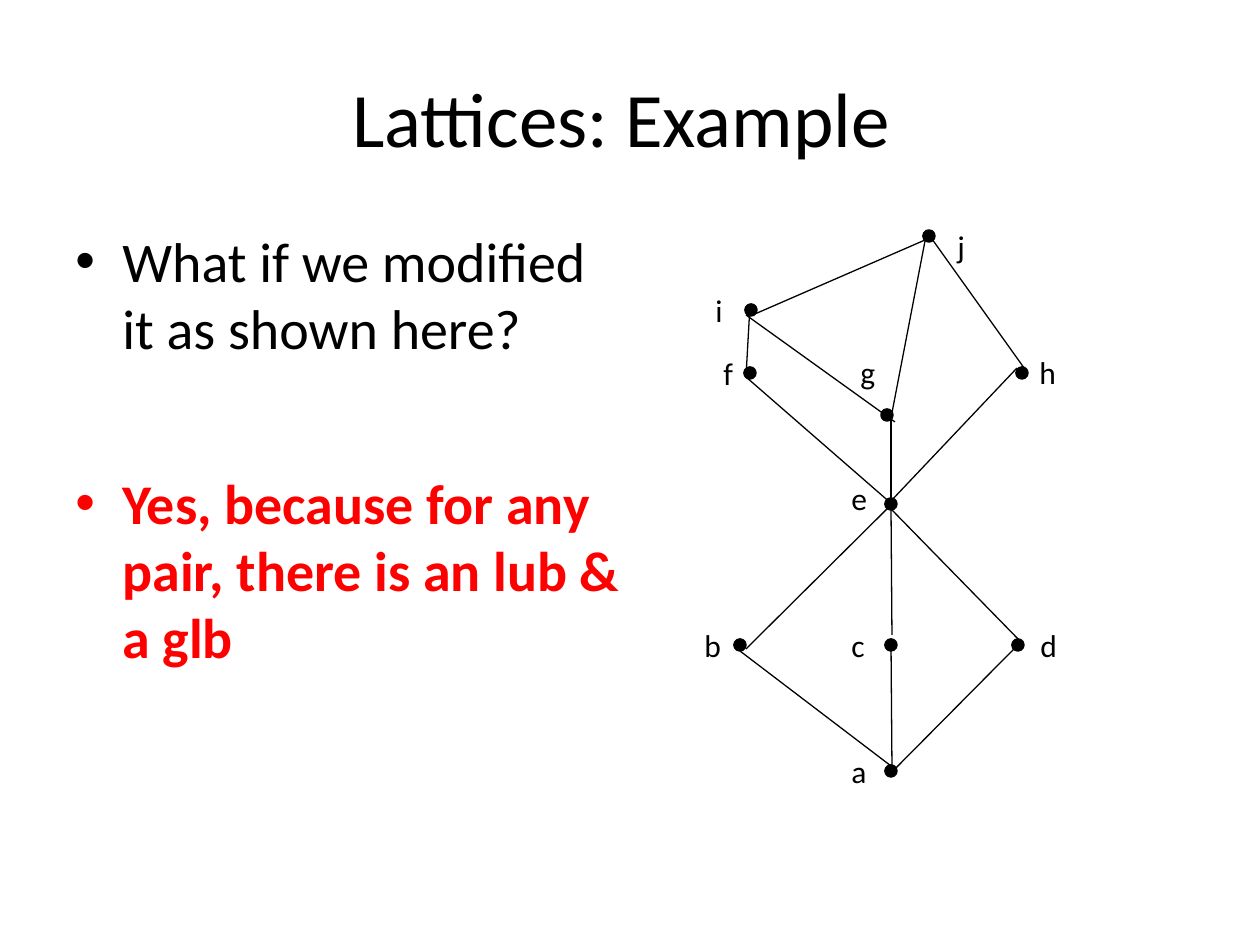
from lxml import etree
from pptx import Presentation
from pptx.dml.color import RGBColor
from pptx.enum.shapes import MSO_CONNECTOR, MSO_SHAPE
from pptx.enum.text import MSO_ANCHOR, PP_ALIGN
from pptx.oxml.ns import qn
from pptx.util import Emu, Pt

STRAIGHT, OVAL = MSO_CONNECTOR.STRAIGHT, MSO_SHAPE.OVAL
MIDDLE, CENTER, LEFT = MSO_ANCHOR.MIDDLE, PP_ALIGN.CENTER, PP_ALIGN.LEFT

SCALE = 914400 // 126
FONT = "Calibri"
COLORS = {"ink": "000000", "answer": "FF0000"}
DOT = 10
LABEL_HEIGHT = 50
BULLET_INDENT = 47

TITLE = "Lattices: Example "
# text, top, color, bold
BULLETS = [
    ("What if we modified it as shown here?", 220, "ink", False),
    ("Yes, because for any pair, there is an lub & a glb", 462, "answer", True),
]
# name: dot left and top, label left, top and width
NODES = {
    "a": (886, 766, 839, 746, 43),
    "b": (735, 640, 692, 620, 42),
    "c": (886, 640, 839, 620, 42),
    "d": (1013, 640, 1028, 620, 43),
    "e": (886, 499, 839, 473, 43),
    "f": (745, 368, 711, 348, 34),
    "g": (882, 410, 848, 347, 43),
    "h": (1017, 368, 1027, 347, 43),
    "i": (746, 305, 703, 285, 33),
    "j": (924, 231, 945, 221, 33),
}
# start x, y and end x, y
EDGES = [
    (895, 769, 740, 651),   # a-b
    (892, 766, 891, 640),   # a-c
    (895, 769, 1014, 649),  # a-d
    (746, 649, 888, 508),   # b-e
    (892, 635, 891, 504),   # c-e
    (1022, 643, 891, 509),  # d-e
    (893, 505, 746, 377),   # e-f
    (891, 509, 891, 418),   # e-g
    (891, 501, 1017, 368),  # e-h
    (746, 377, 750, 306),   # f-i
    (895, 422, 746, 315),   # g-i
    (891, 418, 927, 231),   # g-j
    (1027, 372, 932, 239),  # h-j
    (755, 314, 932, 237),   # i-j
]


def px(value):
    """Turn picture pixels into EMU."""
    return Emu(value * SCALE)


def rgb(name):
    """Look up a named colour."""
    return RGBColor.from_string(COLORS[name])


def add_text(page, place, text, size, color="ink", bold=False, align=LEFT, wrap=True):
    """Add a one-paragraph text box and return it."""
    box = page.shapes.add_textbox(*map(px, place))
    box.text_frame.word_wrap = wrap
    para = box.text_frame.paragraphs[0]
    para.text = text
    para.alignment = align
    para.font.name, para.font.size = FONT, Pt(size)
    para.font.bold = bold
    para.font.color.rgb = rgb(color)
    return box


def add_bullet(box):
    """Give the paragraph of a box a hanging bullet."""
    para = box.text_frame.paragraphs[0]
    para.space_before = Pt(6.4)
    props = para._p.get_or_add_pPr()
    props.set("marL", str(px(BULLET_INDENT)))
    props.set("indent", str(-px(BULLET_INDENT)))
    for tag, key, value in (("a:buFont", "typeface", "Arial"), ("a:buChar", "char", "•")):
        etree.SubElement(props, qn(tag)).set(key, value)


def add_edge(page, ends):
    """Draw one thin line of the lattice."""
    line = page.shapes.add_connector(STRAIGHT, *map(px, ends))
    line.line.color.rgb = rgb("ink")
    line.line.width = Pt(0.75)
    etree.SubElement(line._element.spPr, qn("a:effectLst"))


def add_node(page, name, left, top, label_left, label_top, label_width):
    """Draw one lattice element with its letter."""
    dot = page.shapes.add_shape(OVAL, px(left), px(top), px(DOT), px(DOT))
    dot.shadow.inherit = False
    dot.fill.solid()
    dot.fill.fore_color.rgb = rgb("ink")
    dot.line.color.rgb = rgb("ink")
    dot.line.width = Pt(2)
    add_text(page, (label_left, label_top, label_width, LABEL_HEIGHT), name, 18, wrap=False)


deck = Presentation()
deck.slide_width, deck.slide_height = px(1260), px(945)
page = deck.slides.add_slide(deck.slide_layouts[6])

title = add_text(page, (63, 38, 1134, 157), TITLE, 44, align=CENTER)
title.text_frame.vertical_anchor = MIDDLE
for text, top, color, bold in BULLETS:
    add_bullet(add_text(page, (63, top, 577, 189), text, 32, color, bold))
for ends in EDGES:
    add_edge(page, ends)
for name, places in NODES.items():
    add_node(page, name, *places)

deck.save("out.pptx")
